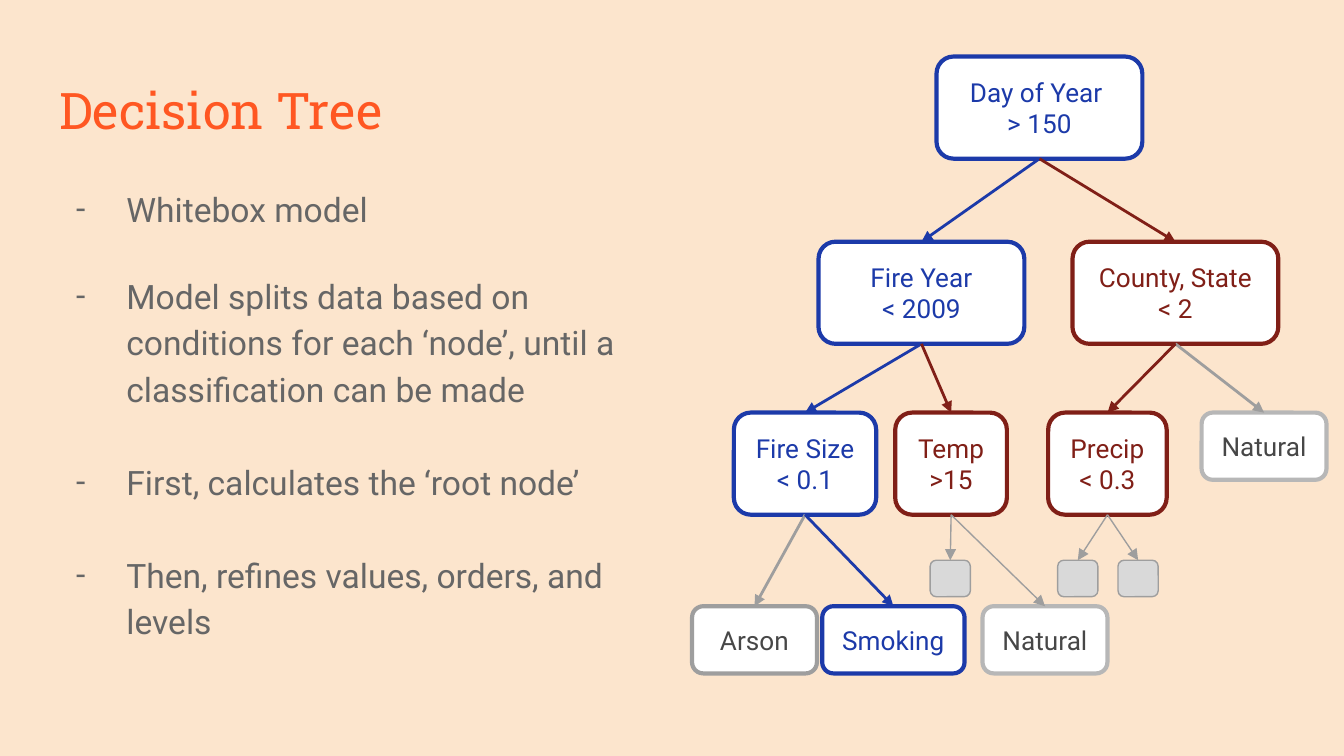
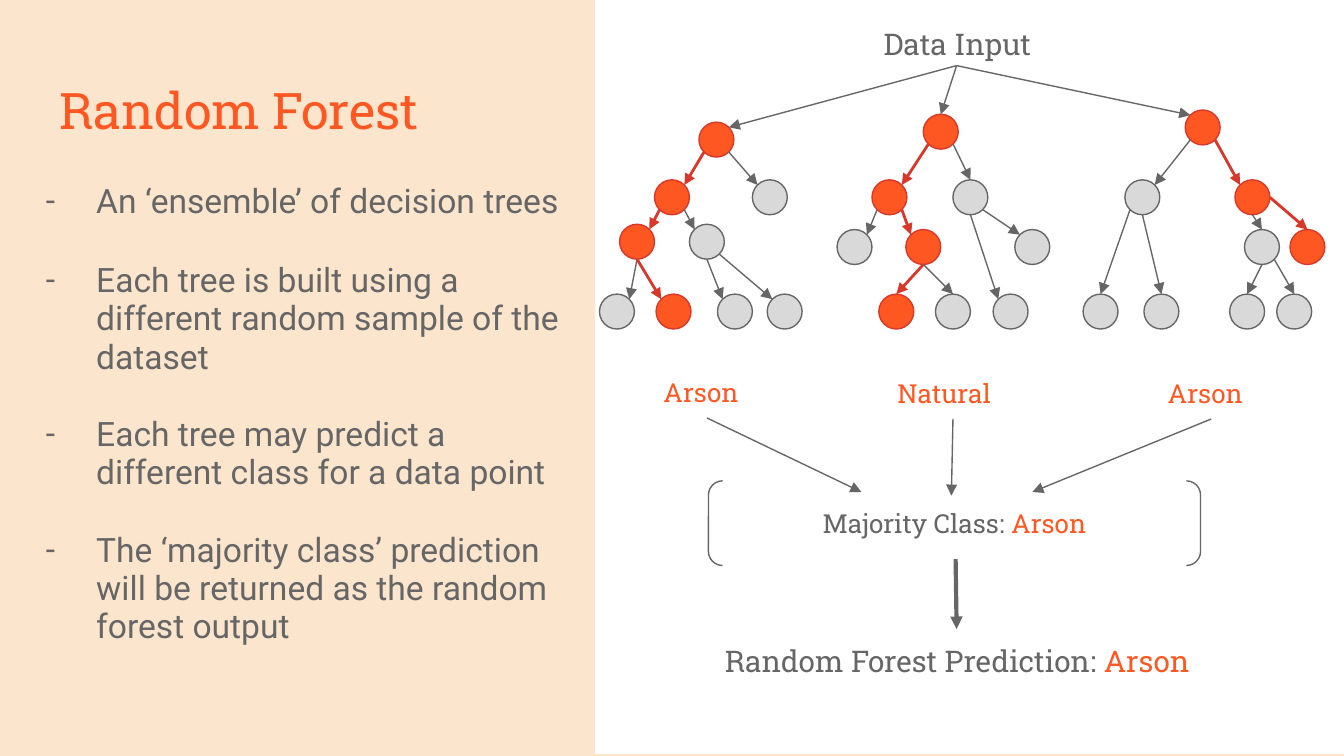
from math import cos, radians, sin

from lxml import etree
from pptx import Presentation
from pptx.dml.color import RGBColor
from pptx.enum.shapes import MSO_CONNECTOR, MSO_SHAPE
from pptx.enum.text import MSO_ANCHOR, PP_ALIGN
from pptx.oxml.ns import qn
from pptx.util import Cm, Pt

STRAIGHT = MSO_CONNECTOR.STRAIGHT
RECT, ROUND_RECT = MSO_SHAPE.RECTANGLE, MSO_SHAPE.ROUNDED_RECTANGLE
OVAL, BRACKETS = MSO_SHAPE.OVAL, MSO_SHAPE.DOUBLE_BRACKET
TOP, MIDDLE = MSO_ANCHOR.TOP, MSO_ANCHOR.MIDDLE
LEFT, CENTER = PP_ALIGN.LEFT, PP_ALIGN.CENTER

COLORS = {
    "cream": "FCE5CD", "orange": "FF5722", "text": "666666", "white": "FFFFFF",
    "blue": "1C3AA9", "maroon": "801F17", "gray": "9E9E9E", "silver": "B7B7B7",
    "dark": "474747", "node": "D9D9D9", "red": "D83729",
}
FONTS = {
    "title": {"name": "Roboto Slab", "size": Pt(27)},
    "caption": {"name": "Roboto Slab", "size": Pt(16)},
    "label": {"name": "Roboto Slab", "size": Pt(14)},
    "body": {"name": "Roboto", "size": Pt(18)},
    "box": {"name": "Roboto", "size": Pt(14)},
}
INSETS = {side: Cm(0.25) for side in
          ("margin_left", "margin_top", "margin_right", "margin_bottom")}

# Decision tree: name -> (text, left, top, width, height, line color, font color)
BOXES = {
    "root": ("Day of Year \n> 150", 17.7, 1.07, 3.89, 1.93, "blue", "blue"),
    "year": ("Fire Year\n< 2009", 15.47, 4.57, 3.89, 1.93, "blue", "blue"),
    "county": ("County, State\n< 2", 20.27, 4.57, 3.89, 1.93, "maroon", "maroon"),
    "precip": ("Precip\n< 0.3", 19.81, 7.8, 2.24, 1.93, "maroon", "maroon"),
    "temp": ("Temp\n>15", 16.92, 7.8, 2.11, 1.93, "maroon", "maroon"),
    "size": ("Fire Size\n< 0.1", 13.87, 7.8, 2.69, 1.93, "blue", "blue"),
    "natural": ("Natural", 22.71, 7.8, 2.36, 1.27, "silver", "dark"),
    "smoking": ("Smoking", 15.54, 11.46, 2.69, 1.27, "blue", "blue"),
    "arson": ("Arson", 13.08, 11.46, 2.36, 1.27, "gray", "dark"),
    "natural low": ("Natural", 18.57, 11.46, 2.36, 1.27, "silver", "dark"),
}
STUBS = {"temp stub": 17.58, "precip stub 1": 19.99, "precip stub 2": 21.13}
BRANCHES = [
    ("root", "year", "blue", 1.5), ("root", "county", "maroon", 1.5),
    ("county", "natural", "gray", 1.5), ("county", "precip", "maroon", 1.5),
    ("year", "size", "blue", 1.5), ("year", "temp", "maroon", 1.5),
    ("size", "arson", "gray", 1.5), ("size", "smoking", "blue", 1.5),
    ("temp", "natural low", "gray", 0.75), ("temp", "temp stub", "gray", 0.75),
    ("precip", "precip stub 1", "gray", 0.75),
    ("precip", "precip stub 2", "gray", 0.75),
]

# Random forest: node centers, the nodes on the chosen way, and
# edges as (from, side, to, side)
DIAMETER = 0.66
LEVEL_2, LEAVES = 3.73, 5.89
ANGLES = {"E": 0, "SE": 45, "S": 90, "SW": 135, "NW": 225, "N": 270, "NE": 315}
FOREST = [
    {"nodes": {"a": (13.54, 2.64), "b": (12.7, LEVEL_2), "c": (12.04, 4.57),
               "d": (14.55, LEVEL_2), "e": (13.36, 4.57), "f": (14.83, LEAVES),
               "g": (13.89, LEAVES), "h": (12.73, LEAVES), "i": (11.66, LEAVES)},
     "chosen": "abch", "input side": "NE",
     "edges": ["a SW b NE", "a SE d NW", "b SW c NE", "c S i NE",
               "c S h NW", "b SE e NW", "e S g NW", "e SE f NW"]},
    {"nodes": {"a": (17.78, 2.49), "b": (16.81, LEVEL_2), "c": (16.15, 4.67),
               "d": (17.45, 4.67), "e": (16.94, LEAVES), "f": (18.01, LEAVES),
               "g": (18.34, LEVEL_2), "h": (19.1, LEAVES), "i": (19.51, 4.67)},
     "chosen": "abde", "input side": "N",
     "edges": ["a SW b NE", "b SW c NE", "b SE d NW", "a SE g N",
               "g SE i NW", "g S h NW", "d S e N", "d S f N"]},
    {"nodes": {"a": (22.73, 2.41), "b": (23.67, LEVEL_2), "c": (24.71, 4.67),
               "d": (23.85, 4.67), "e": (21.59, LEVEL_2), "f": (20.8, LEAVES),
               "g": (21.95, LEAVES), "h": (23.57, LEAVES), "i": (24.46, LEAVES)},
     "chosen": "abc", "input side": "NW",
     "edges": ["a SW e NE", "e SW f N", "e S g N", "a SE b NW",
               "b E c N", "b S d N", "d S h N", "d SE i N"]},
]


def rgb(color):
    return RGBColor.from_string(COLORS[color])


def set_all(target, values):
    for name, value in values.items():
        setattr(target, name, value)


def add_run(p, text, font, color):
    r = p.add_run()
    r.text = text
    set_all(r.font, FONTS[font])
    r.font.color.rgb = rgb(color)


def write(s, paragraphs, font, align=LEFT, anchor=TOP):
    """Fill a shape with paragraphs, each a list of (text, color) runs."""
    tf = s.text_frame
    set_all(tf, {**INSETS, "word_wrap": True, "vertical_anchor": anchor})
    for i, runs in enumerate(paragraphs):
        p = tf.paragraphs[0] if i == 0 else tf.add_paragraph()
        p.alignment = align
        for text, color in runs:
            add_run(p, text, font, color)
    return tf


def add_text(slide, box, runs, font, align=LEFT):
    s = slide.shapes.add_textbox(*map(Cm, box))
    return write(s, [runs], font, align)


def add_bullets(slide, box, items, spacing):
    """Add a dashed list; items are (text, points of space after)."""
    s = slide.shapes.add_textbox(*map(Cm, box))
    tf = write(s, [[(text, "text")] for text, _ in items], "body")
    for p, (_, gap) in zip(tf.paragraphs, items):
        set_all(p, {"line_spacing": spacing, "space_after": Pt(gap)})
        pPr = p._p.get_or_add_pPr()
        pPr.set("marL", str(Cm(1.27)))
        pPr.set("indent", str(Cm(-0.95)))
        color = etree.SubElement(pPr, qn("a:buClr"))
        etree.SubElement(color, qn("a:srgbClr"), val=COLORS["text"])
        etree.SubElement(pPr, qn("a:buFont"), typeface="Roboto")
        etree.SubElement(pPr, qn("a:buChar"), char="-")


def add_shape(slide, kind, box, fill, line, width=0.75):
    s = slide.shapes.add_shape(kind, *map(Cm, box))
    s.shadow.inherit = False
    if fill:
        s.fill.solid()
        s.fill.fore_color.rgb = rgb(fill)
    else:
        s.fill.background()
    s.line.color.rgb = rgb(line)
    s.line.width = Pt(width)
    return s


def add_arrow(slide, start=(0, 0), end=(0, 0), color="text", width=0.75):
    s = slide.shapes.add_connector(STRAIGHT, *map(Cm, (*start, *end)))
    s.line.color.rgb = rgb(color)
    s.line.width = Pt(width)
    etree.SubElement(s.line._get_or_add_ln(), qn("a:tailEnd"), type="triangle")
    etree.SubElement(s._element.spPr, qn("a:effectLst"))
    return s


def add_slide(prs, title):
    slide = prs.slides.add_slide(prs.slide_layouts[6])
    slide.background.fill.solid()
    slide.background.fill.fore_color.rgb = rgb("cream")
    add_text(slide, (0.87, 1.24, 23.67, 1.6), [(title, "orange")], "title")
    return slide


def rim_point(center, side):
    """Point on a node's circle at a compass side."""
    angle = radians(ANGLES[side])
    return (center[0] + DIAMETER / 2 * cos(angle),
            center[1] + DIAMETER / 2 * sin(angle))


def add_forest_tree(slide, tree):
    nodes, chosen = tree["nodes"], tree["chosen"]
    for name, (x, y) in nodes.items():
        fill, line = ("orange", "red") if name in chosen else ("node", "text")
        box = (x - DIAMETER / 2, y - DIAMETER / 2, DIAMETER, DIAMETER)
        add_shape(slide, OVAL, box, fill, line)
    for edge in tree["edges"]:
        parent, out_side, child, in_side = edge.split()
        on_way = parent in chosen and child in chosen
        add_arrow(slide, rim_point(nodes[parent], out_side),
                  rim_point(nodes[child], in_side),
                  *(("red", 1.5) if on_way else ("text", 0.75)))


def build_decision_tree(prs):
    slide = add_slide(prs, "Decision Tree")
    add_bullets(slide, (0.87, 3.2, 12.22, 10.46), [
        ("Whitebox model", 22),
        ("Model splits data based on conditions for each ‘node’, "
         "until a classification can be made", 25),
        ("First, calculates the ‘root node’", 25),
        ("Then, refines values, orders, and levels", 0),
    ], 1.15)
    shapes = {}
    for name, (text, *box, line, color) in BOXES.items():
        s = add_shape(slide, ROUND_RECT, box, "white", line, 2.25)
        write(s, [[(t, color)] for t in text.split("\n")], "box", CENTER, MIDDLE)
        shapes[name] = s
    for name, left in STUBS.items():
        box = (left, 10.59, 0.76, 0.69)
        shapes[name] = add_shape(slide, ROUND_RECT, box, "node", "gray")
    for parent, child, color, width in BRANCHES:
        arrow = add_arrow(slide, color=color, width=width)
        arrow.begin_connect(shapes[parent], 2)
        arrow.end_connect(shapes[child], 0)


def build_random_forest(prs):
    slide = add_slide(prs, "Random Forest")
    add_bullets(slide, (0.3, 3.2, 10.59, 10.01), [
        ("An ‘ensemble’ of decision trees", 22),
        ("Each tree is built using a different random sample of the dataset", 21),
        ("Each tree may predict a different class for a data point", 21),
        ("The ‘majority class’ prediction will be returned "
         "as the random forest output", 0),
    ], 0.95)
    add_shape(slide, RECT, (11.25, -0.03, 14.15, 14.27), "white", "white")

    add_text(slide, (16.23, 0.23, 3.73, 1.02), [("Data Input", "text")],
             "caption", CENTER)
    for tree in FOREST:
        add_forest_tree(slide, tree)
        root = rim_point(tree["nodes"]["a"], tree["input side"])
        add_arrow(slide, (18.08, 1.24), root)

    votes = [
        ("Arson", (12.29, 6.86, 2.11, 1.02), (13.36, 7.9), (16.28, 9.3)),
        ("Natural", (16.71, 6.88, 2.59, 1.02), (18.01, 7.92), (17.98, 9.37)),
        ("Arson", (21.82, 6.88, 2.11, 1.02), (22.89, 7.92), (19.51, 9.3)),
    ]
    for label, box, start, end in votes:
        add_text(slide, box, [(label, "orange")], "label")
        add_arrow(slide, start, end)

    majority = add_shape(slide, BRACKETS, (13.39, 9.09, 9.3, 1.6), None, "text")
    write(majority, [[("Majority Class: ", "text"), ("Arson", "orange")]],
          "label", CENTER, MIDDLE)
    add_text(slide, (12.4, 11.89, 11.38, 1.02),
             [("Random Forest Prediction: ", "text"), ("Arson", "orange")],
             "caption", CENTER)
    add_arrow(slide, (18.06, 10.57), (18.08, 11.89), width=2.25)


def main():
    prs = Presentation()
    prs.slide_width, prs.slide_height = Cm(25.4), Cm(14.29)
    build_decision_tree(prs)
    build_random_forest(prs)
    prs.save("out.pptx")


if __name__ == "__main__":
    main()
